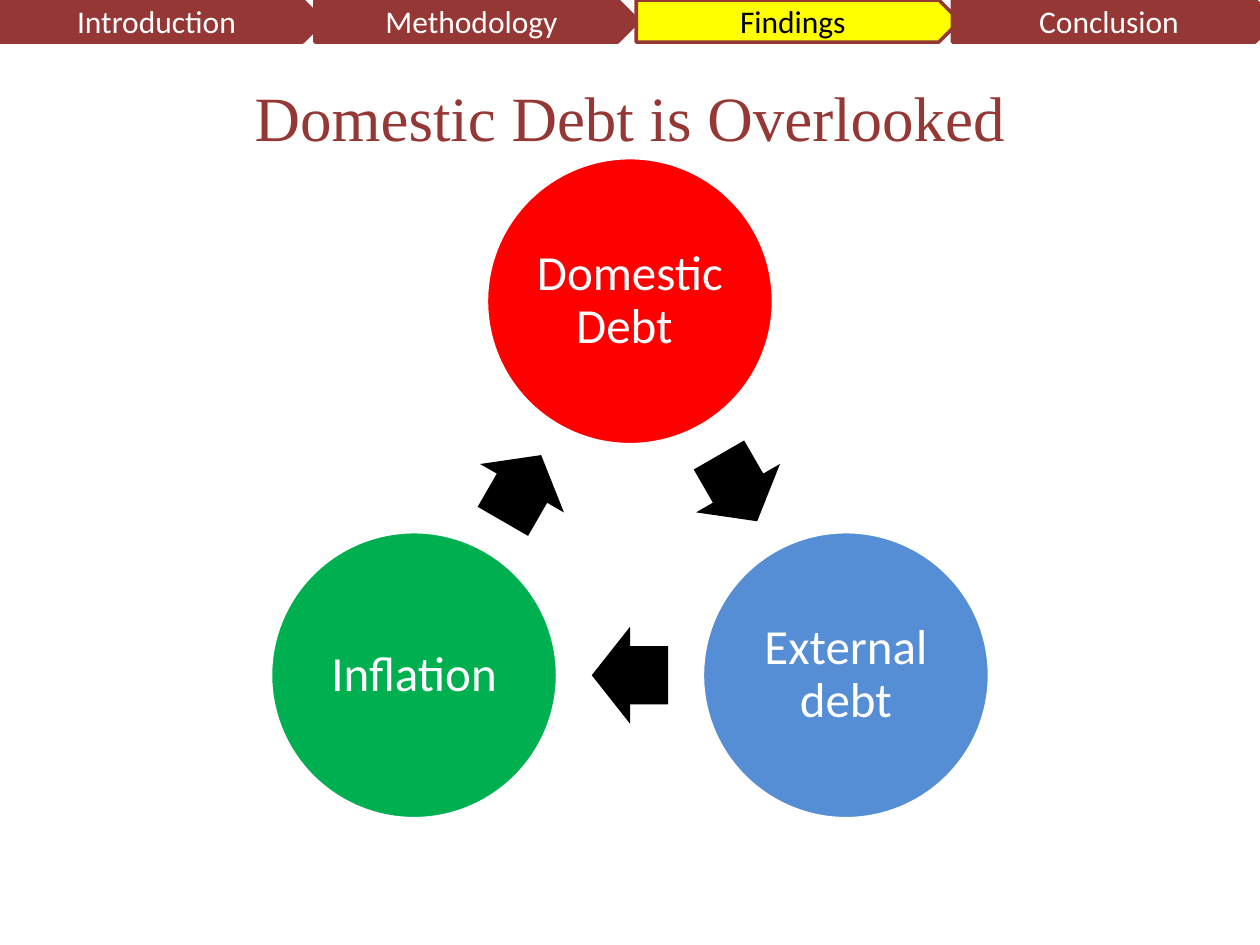
import math
from dataclasses import dataclass

import pptx
import pptx.dml.color
import pptx.enum.shapes
import pptx.enum.text
import pptx.util

Pt = pptx.util.Pt
SHAPE = pptx.enum.shapes.MSO_SHAPE


@dataclass(frozen=True)
class Theme:
    maroon: str = "953735"
    yellow: str = "FFFF00"
    red: str = "FF0000"
    blue: str = "558ED5"
    green: str = "00B050"
    black: str = "000000"
    white: str = "FFFFFF"
    title_font: str = "Times New Roman"
    body_font: str = "Calibri"
    title_size: int = 36
    node_size: int = 28
    tab_size: int = 18
    line_width: int = 2


def rgb(value):
    return pptx.dml.color.RGBColor.from_string(value)


class SlideBuilder:
    def __init__(self, slide, theme):
        self.s = slide
        self.theme = theme

    def label(self, sp, text, font, size, color):
        """Put one centred run in a shape and return its paragraph."""
        tf = sp.text_frame
        tf.word_wrap = True
        tf.vertical_anchor = pptx.enum.text.MSO_ANCHOR.MIDDLE
        p = tf.paragraphs[0]
        p.alignment = pptx.enum.text.PP_ALIGN.CENTER
        r = p.add_run()
        r.text = text
        r.font.name = font
        r.font.size = Pt(size)
        r.font.color.rgb = rgb(color)
        return p

    def shape(self, kind, left, top, width, height, fill, line=None):
        sp = self.s.shapes.add_shape(kind, Pt(left), Pt(top), Pt(width), Pt(height))
        sp.shadow.inherit = False
        sp.fill.solid()
        sp.fill.fore_color.rgb = rgb(fill)
        if line:
            sp.line.color.rgb = rgb(line)
            sp.line.width = Pt(self.theme.line_width)
        else:
            sp.line.fill.background()
        return sp

    def title(self, text, left, top, width, height):
        t = self.theme
        sp = self.s.shapes.add_textbox(Pt(left), Pt(top), Pt(width), Pt(height))
        self.label(sp, text, t.title_font, t.title_size, t.maroon)

    def node(self, text, x, y, diameter, fill):
        """Add a labelled circle centred on (x, y)."""
        t = self.theme
        sp = self.shape(SHAPE.OVAL, x - diameter / 2, y - diameter / 2,
                        diameter, diameter, fill, t.white)
        tf = sp.text_frame
        tf.margin_left = tf.margin_right = tf.margin_top = tf.margin_bottom = Pt(2.8)
        p = self.label(sp, text, t.body_font, t.node_size, t.white)
        p.line_spacing = 0.9

    def arrow(self, start, end, length, width):
        """Add a block arrow halfway between two points."""
        x, y = ((a + b) / 2 for a, b in zip(start, end))
        sp = self.shape(SHAPE.RIGHT_ARROW, x - length / 2, y - width / 2,
                        length, width, self.theme.black)
        sp.adjustments[0] = 0.6
        sp.adjustments[1] = 0.5
        angle = math.atan2(end[1] - start[1], end[0] - start[0])
        sp.rotation = round(math.degrees(angle)) % 360

    def tab(self, text, left, width, height, active):
        t = self.theme
        fill, color = (t.yellow, t.black) if active else (t.maroon, t.white)
        sp = self.shape(SHAPE.PENTAGON, left, 0, width, height, fill, t.maroon)
        self.label(sp, text, t.body_font, t.tab_size, color)


def main():
    prs = pptx.Presentation()
    prs.slide_width, prs.slide_height = Pt(720), Pt(540)
    theme = Theme()
    builder = SlideBuilder(prs.slides.add_slide(prs.slide_layouts[6]), theme)

    builder.title("Domestic Debt is Overlooked", 36, 21.6, 648, 90)

    nodes = [("Domestic Debt ", theme.red), ("External debt", theme.blue),
             ("Inflation", theme.green)]
    center_x, center_y, radius = 360, 314.6, 142.5
    angles = [math.radians(-90 + 120 * i) for i in range(len(nodes))]
    points = [(center_x + radius * math.cos(a), center_y + radius * math.sin(a))
              for a in angles]
    for i, (text, fill) in enumerate(nodes):
        builder.node(text, *points[i], 164, fill)
        builder.arrow(points[i], points[(i + 1) % len(points)], 43.7, 55.4)

    tabs = [("Introduction", 0), ("Methodology", 180),
            ("Findings", 363.6), ("Conclusion", 544.3)]
    for text, left in tabs:
        builder.tab(text, left, 185, 24, active=text == "Findings")

    prs.save("out.pptx")


if __name__ == "__main__":
    main()
